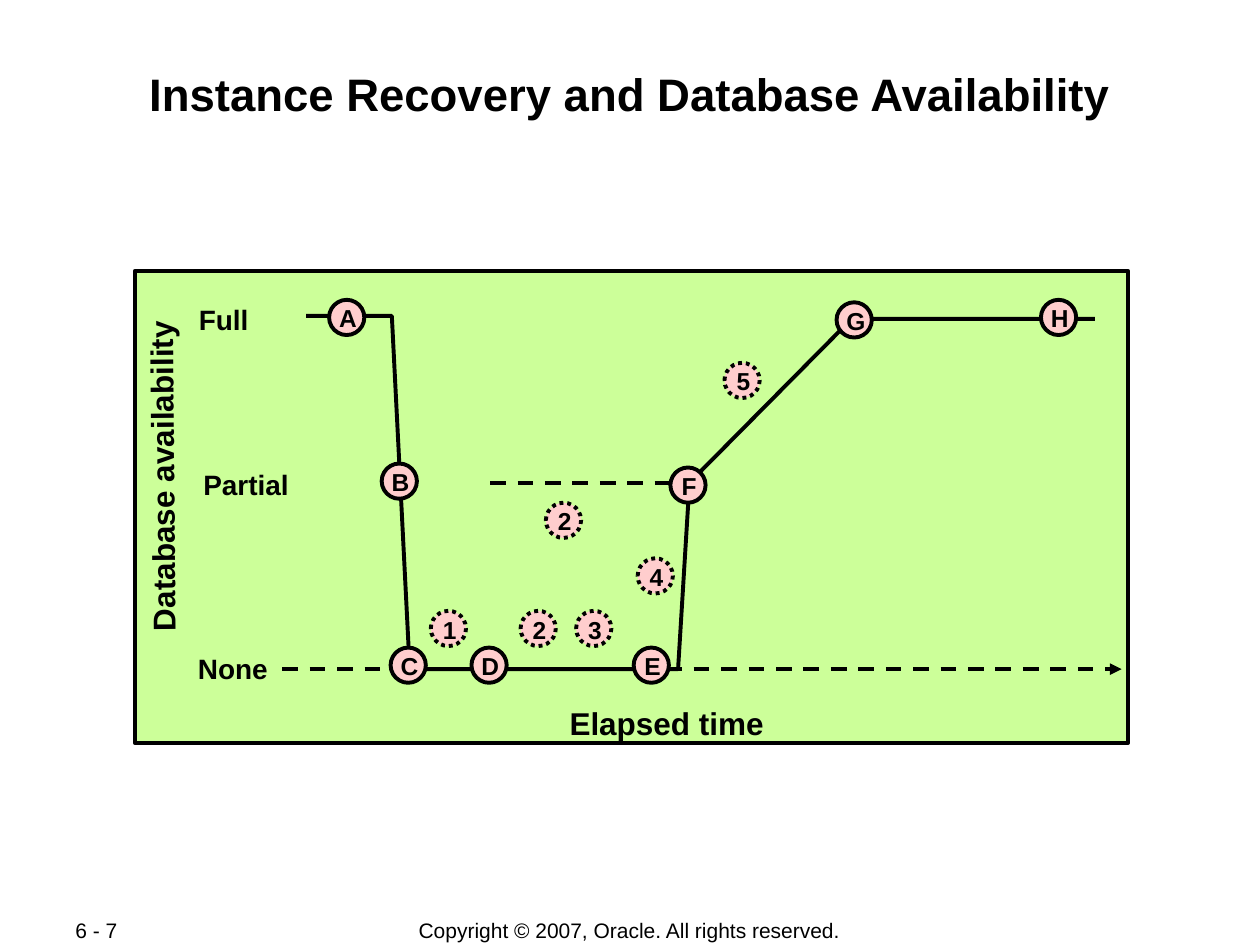
from dataclasses import dataclass

from lxml.etree import SubElement
from pptx import Presentation
from pptx.dml.color import RGBColor
from pptx.enum.dml import MSO_LINE_DASH_STYLE as Dash
from pptx.enum.shapes import MSO_CONNECTOR as Connector, MSO_SHAPE as Shape
from pptx.enum.text import MSO_ANCHOR as Anchor, PP_ALIGN as Align
from pptx.oxml.ns import qn
from pptx.util import Cm, Pt


@dataclass(frozen=True)
class Theme:
    font: str = "Arial"
    ink: RGBColor = RGBColor(0x00, 0x00, 0x00)
    panel: RGBColor = RGBColor(0xCC, 0xFF, 0x99)
    marker: RGBColor = RGBColor(0xFF, 0xCD, 0xCD)
    stroke: float = 2.25
    title: int = 26
    axis: int = 18
    level: int = 16
    letter: int = 14
    footer: int = 12


@dataclass(frozen=True)
class Box:
    left: float
    top: float
    width: float
    height: float

    def inner(self, left, top, width, height):
        return Box(self.left + left, self.top + top, width, height)

    def point(self, x, y):
        return Cm(self.left + x), Cm(self.top + y)

    def place(self):
        return Cm(self.left), Cm(self.top), Cm(self.width), Cm(self.height)


THEME = Theme()
MARKER_SIZE = 0.71
STAGES = {
    "A": (4.27, 0.94), "B": (5.33, 4.24), "C": (5.51, 7.95), "D": (7.14, 7.95),
    "E": (10.41, 7.95), "F": (11.15, 4.32), "G": (14.5, 0.99), "H": (18.62, 0.94),
}
STEPS = [
    ("1", (6.32, 7.21)), ("2", (8.13, 7.21)), ("3", (9.25, 7.21)),
    ("4", (10.49, 6.15)), ("5", (12.24, 2.21)), ("2", (8.64, 5.03)),
]
AVAILABILITY = [
    (3.45, 0.91), (5.18, 0.91), (5.54, 8.03), (10.95, 8.03),
    (11.18, 4.27), (14.45, 0.97), (19.35, 0.97),
]
LEVELS = [
    ("Full", (1.04, 0.5, 1.5, 0.94)),
    ("Partial", (1.12, 3.83, 2.24, 0.94)),
    ("None", (1.02, 7.54, 1.91, 0.94)),
]


def write(frame, text, size, bold=True, align=Align.CENTER):
    para = frame.paragraphs[0]
    para.alignment = align
    para.space_before = Pt(0)
    span = para.add_run()
    span.text = text
    span.font.name = THEME.font
    span.font.size = Pt(size)
    span.font.bold = bold
    span.font.color.rgb = THEME.ink


def add_label(page, box, text, size):
    label = page.shapes.add_textbox(*box.place())
    label.text_frame.word_wrap = False
    label.text_frame.vertical_anchor = Anchor.MIDDLE
    write(label.text_frame, text, size)
    return label


def set_stroke(shape, dash=None):
    shape.line.color.rgb = THEME.ink
    shape.line.width = Pt(THEME.stroke)
    if dash:
        shape.line.dash_style = dash


def add_filled(page, kind, box, fill, dash=None):
    shape = page.shapes.add_shape(kind, *box.place())
    shape.shadow.inherit = False
    shape.fill.solid()
    shape.fill.fore_color.rgb = fill
    set_stroke(shape, dash)


def add_dashed_line(page, start, end, arrow=False):
    line = page.shapes.add_connector(Connector.STRAIGHT, *start, *end)
    set_stroke(line, Dash.DASH)
    if arrow:
        SubElement(line.line._get_or_add_ln(), qn("a:tailEnd"), type="triangle")
    SubElement(line._element.spPr, qn("a:effectLst"))


def add_marker(page, box, name, center, dash=None):
    x, y = center
    half = MARKER_SIZE / 2
    circle = box.inner(x - half, y - half, MARKER_SIZE, MARKER_SIZE)
    add_filled(page, Shape.OVAL, circle, THEME.marker, dash)
    add_label(page, circle.inner(-0.05, -0.06, 0.86, 0.86), name, THEME.letter)


def add_curve(page, box):
    points = [box.point(x, y) for x, y in AVAILABILITY]
    builder = page.shapes.build_freeform(*points[0])
    builder.add_line_segments(points[1:], close=False)
    curve = builder.convert_to_shape()
    curve.shadow.inherit = False
    curve.fill.background()
    set_stroke(curve)


def build_title(page, box):
    title = page.shapes.title
    title.left, title.top, title.width, title.height = box.place()
    frame = title.text_frame
    frame.vertical_anchor = Anchor.TOP
    frame.margin_left = frame.margin_right = Cm(0.03)
    frame.margin_top = frame.margin_bottom = Cm(0.03)
    write(frame, "Instance Recovery and Database Availability", THEME.title)


def build_chart(page, box):
    add_filled(page, Shape.RECTANGLE, box, THEME.panel)
    add_dashed_line(page, box.point(2.97, 8.03), box.point(19.89, 8.03), arrow=True)
    add_label(page, box.inner(8.51, 8.61, 4.42, 1.02), "Elapsed time", THEME.axis)
    side = add_label(page, box.inner(-2.84, 3.63, 6.76, 1.02),
                     "Database availability", THEME.axis)
    side.rotation = 269.5
    for text, place in LEVELS:
        add_label(page, box.inner(*place), text, THEME.level)
    add_curve(page, box)
    add_dashed_line(page, box.point(7.16, 4.27), box.point(10.95, 4.27))
    for name, center in STAGES.items():
        add_marker(page, box, name, center)
    for name, center in STEPS:
        add_marker(page, box, name, center, Dash.ROUND_DOT)


def build_footer(page, box):
    parts = [
        ("6 - 7", box.inner(0, 0, 2.69, box.height), Align.LEFT),
        ("Copyright © 2007, Oracle. All rights reserved.",
         box.inner(5.72, 0, 11.4, box.height), Align.CENTER),
    ]
    for text, place, align in parts:
        frame = page.shapes.add_textbox(*place.place()).text_frame
        frame.word_wrap = True
        frame.vertical_anchor = Anchor.MIDDLE
        frame.margin_top = frame.margin_bottom = Cm(0)
        write(frame, text, THEME.footer, bold=False, align=align)


def main():
    deck = Presentation()
    deck.slide_width, deck.slide_height = Cm(25.4), Cm(19.05)
    page = deck.slides.add_slide(deck.slide_layouts[5])
    build_title(page, Box(1.7, 1.3, 22, 2.44))
    build_chart(page, Box(2.72, 5.46, 20.02, 9.52))
    build_footer(page, Box(1.27, 18.49, 22.86, 0.53))
    deck.save("out.pptx")


if __name__ == "__main__":
    main()
